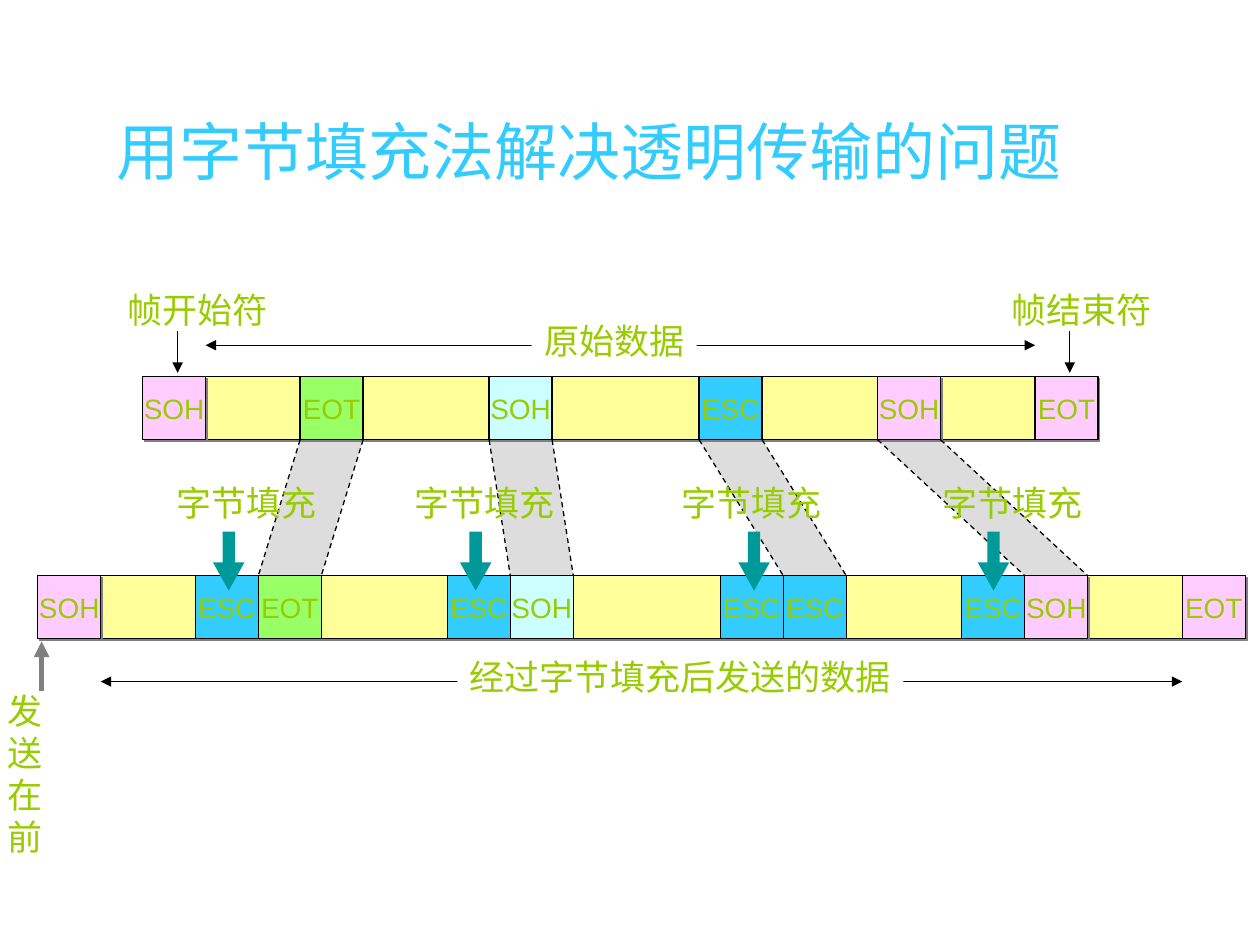
"""Build a slide on byte stuffing for transparent transmission."""
from lxml import etree
from pptx import Presentation
from pptx.dml.color import RGBColor
from pptx.enum.dml import MSO_LINE
from pptx.enum.shapes import MSO_CONNECTOR, MSO_SHAPE
from pptx.enum.text import MSO_ANCHOR, MSO_AUTO_SIZE, PP_ALIGN
from pptx.oxml import parse_xml
from pptx.oxml.ns import nsdecls, qn
from pptx.util import Pt

BLACK = RGBColor(0x00, 0x00, 0x00)
WHITE = RGBColor(0xFF, 0xFF, 0xFF)
GREY = RGBColor(0x80, 0x80, 0x80)
BAND = RGBColor(0xDD, 0xDD, 0xDD)
PINK = RGBColor(0xFF, 0xCC, 0xFF)
YELLOW = RGBColor(0xFF, 0xFF, 0x99)
GREEN = RGBColor(0x99, 0xFF, 0x66)
CYAN = RGBColor(0xCC, 0xFF, 0xFF)
BLUE = RGBColor(0x33, 0xCC, 0xFF)
TEAL = RGBColor(0x00, 0x99, 0x99)
LIME = RGBColor(0x99, 0xCC, 0x00)

TITLE = "用字节填充法解决透明传输的问题 "
START, END, ESCAPE = ("SOH", PINK), ("EOT", PINK), ("ESC", BLUE)
PAYLOAD = [(54, "EOT", GREEN), (72, "SOH", CYAN), (84, "ESC", BLUE), (66, "SOH", PINK)]
LAST_GAP = 54
CELL = 36
ORIGINAL_LEFT, ORIGINAL_TOP = 81.5, 215.3
STUFFED_LEFT, STUFFED_TOP = 21.6, 329

STUFFING = [(93.6, 121.7), (229.7, 262.8), (382.3, 421.9), (531.4, 558.7)]
LABELS = [
    ("帧开始符", 65.5, 161.3, 94.3, None),
    ("帧结束符", 571, 161.3, 94.3, None),
    ("原始数据", 303.8, 179.3, 94.3, WHITE),
    ("经过字节填充后发送的数据", 261.4, 370.8, 254.9, WHITE),
    ("发送\n在前", -2.9, 390.2, 54, None),
] + [("字节填充", left, 271.4, 94.3, None) for left, _ in STUFFING]
POINTERS = [
    (101.5, 189.4, 101.5, 213.1, BLACK, 0.75),
    (611.3, 189.4, 611.3, 213.1, BLACK, 0.75),
    (23.8, 394.6, 23.8, 366.5, GREY, 3),
]


def style_runs(tf, size, color):
    for p in tf.paragraphs:
        for r in p.runs:
            r.font.size = Pt(size)
            r.font.name = "Arial"
            r.font.color.rgb = color


def add_shadow(s):
    s._element.spPr.append(parse_xml(
        f'<a:effectLst {nsdecls("a")}><a:outerShdw dist="17780" dir="2700000" algn="ctr" '
        'rotWithShape="0"><a:srgbClr val="808080"/></a:outerShdw></a:effectLst>'))


def add_box(shapes, left, top, width, fill, text=""):
    s = shapes.add_shape(MSO_SHAPE.RECTANGLE, Pt(left), Pt(top), Pt(width), Pt(CELL))
    s.fill.solid()
    s.fill.fore_color.rgb = fill
    s.line.color.rgb = BLACK
    s.line.width = Pt(0.75)
    if fill in (PINK, YELLOW):
        add_shadow(s)
    else:
        s.shadow.inherit = False
    if text:
        tf = s.text_frame
        tf.text = text
        tf.word_wrap = False
        tf.vertical_anchor = MSO_ANCHOR.MIDDLE
        tf.paragraphs[0].alignment = PP_ALIGN.CENTER
        style_runs(tf, 16, LIME)


def add_line(shapes, x1, y1, x2, y2, color=BLACK, width=0.75, dash=None, arrows=()):
    s = shapes.add_connector(MSO_CONNECTOR.STRAIGHT, Pt(x1), Pt(y1), Pt(x2), Pt(y2))
    s.line.color.rgb = color
    s.line.width = Pt(width)
    if dash:
        s.line.dash_style = dash
    for end in arrows:
        etree.SubElement(s.line._get_or_add_ln(), qn(f"a:{end}"), type="triangle")
    etree.SubElement(s._element.spPr, qn("a:effectLst"))


def add_label(shapes, text, left, top, width, fill):
    s = shapes.add_textbox(Pt(left), Pt(top), Pt(width), Pt(55.4 if "\n" in text else 31.7))
    if fill:
        s.fill.solid()
        s.fill.fore_color.rgb = fill
    tf = s.text_frame
    tf.text = text
    tf.word_wrap = False
    tf.auto_size = MSO_AUTO_SIZE.SHAPE_TO_FIT_TEXT
    style_runs(tf, 20, LIME)


def lay_out(left, stuffed):
    """Return the frame's cells and the left edges of its payload bytes."""
    cells, edges = [(left, *START)], []
    x = left + CELL
    for gap, name, color in PAYLOAD:
        x += gap
        if stuffed:
            cells.append((x, *ESCAPE))
            x += CELL
        cells.append((x, name, color))
        edges.append(x)
        x += CELL
    cells.append((x + LAST_GAP, *END))
    return cells, edges


def add_frame(shapes, cells, top):
    data_left = cells[0][0] + CELL
    add_box(shapes, data_left, top, cells[-1][0] - data_left, YELLOW)
    for left, name, color in cells:
        add_box(shapes, left, top, CELL, color, name)


def main():
    prs = Presentation()
    prs.slide_width, prs.slide_height = Pt(720), Pt(540)
    shapes = prs.slides.add_slide(prs.slide_layouts[5]).shapes

    title = shapes.title
    title.left, title.top, title.width, title.height = Pt(36.7), Pt(60.5), Pt(607.7), Pt(50.4)
    tf = title.text_frame
    tf.text = TITLE
    tf.auto_size = MSO_AUTO_SIZE.NONE
    tf.vertical_anchor = MSO_ANCHOR.MIDDLE
    tf.paragraphs[0].alignment = PP_ALIGN.CENTER
    style_runs(tf, 36, BLUE)

    original, upper = lay_out(ORIGINAL_LEFT, False)
    stuffed, lower = lay_out(STUFFED_LEFT, True)
    band_top = ORIGINAL_TOP + CELL
    for a, b in zip(upper, lower):
        builder = shapes.build_freeform(Pt(a), Pt(band_top))
        builder.add_line_segments([(Pt(a + CELL), Pt(band_top)), (Pt(b + CELL), Pt(STUFFED_TOP)),
                                   (Pt(b), Pt(STUFFED_TOP))])
        s = builder.convert_to_shape()
        s.fill.solid()
        s.fill.fore_color.rgb = BAND
        s.line.fill.background()
        s.shadow.inherit = False
    add_frame(shapes, original, ORIGINAL_TOP)
    add_frame(shapes, stuffed, STUFFED_TOP)
    for a, b in zip(upper, lower):
        for side in (0, CELL):
            add_line(shapes, a + side, band_top, b + side, STUFFED_TOP, dash=MSO_LINE.DASH)

    for cells, y in ((original, 197.3), (stuffed, 389.5)):
        add_line(shapes, cells[0][0] + CELL, y, cells[-1][0], y, arrows=("headEnd", "tailEnd"))
    for label in LABELS:
        add_label(shapes, *label)
    for x1, y1, x2, y2, color, width in POINTERS:
        add_line(shapes, x1, y1, x2, y2, color, width, arrows=("tailEnd",))
    for _, left in STUFFING:
        s = shapes.add_shape(MSO_SHAPE.DOWN_ARROW, Pt(left), Pt(303.8), Pt(18), Pt(33.8))
        s.adjustments[0], s.adjustments[1] = 0.39, 0.9
        s.fill.solid()
        s.fill.fore_color.rgb = TEAL
        s.line.fill.background()
        s.shadow.inherit = False

    prs.save("out.pptx")


if __name__ == "__main__":
    main()
